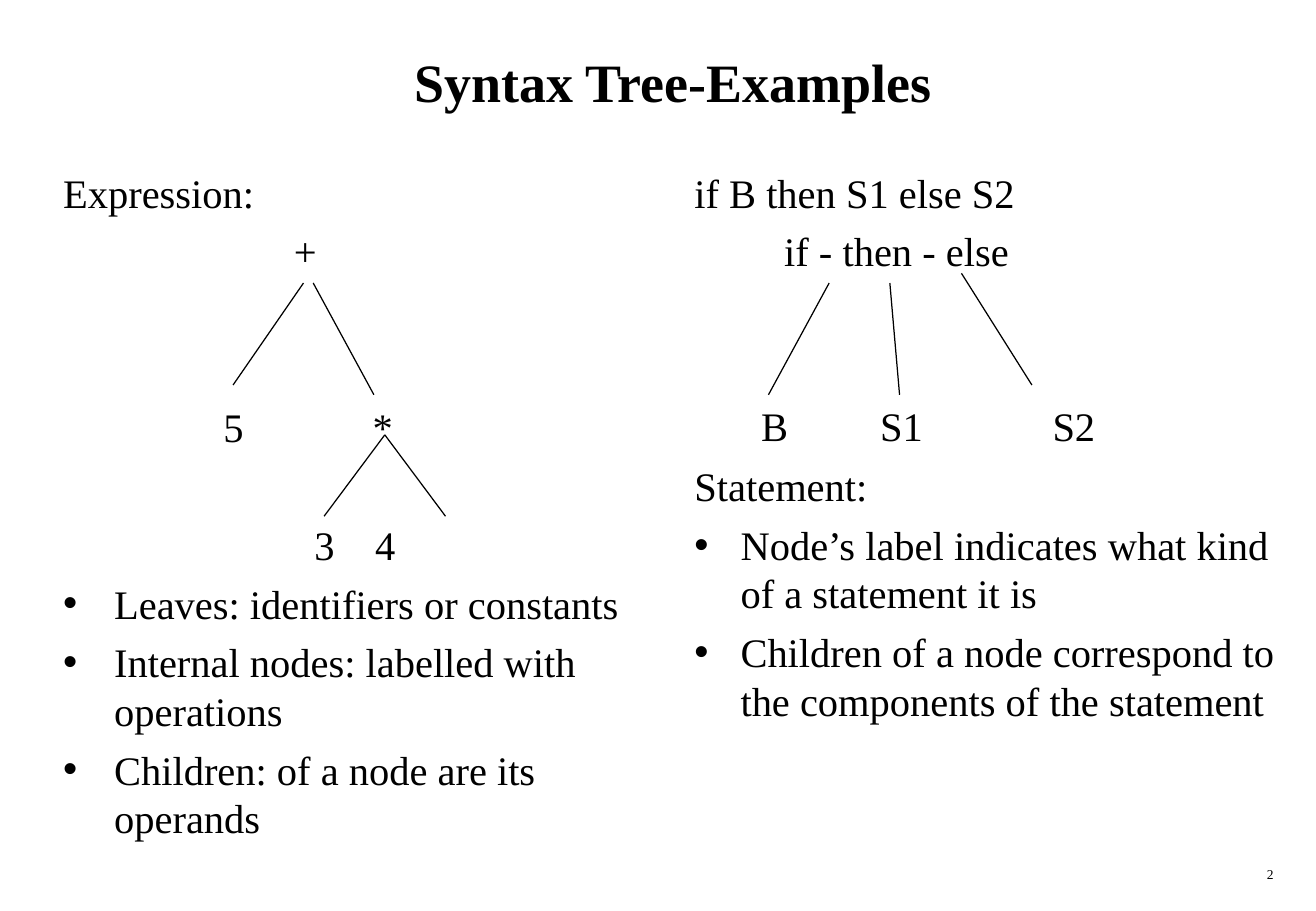
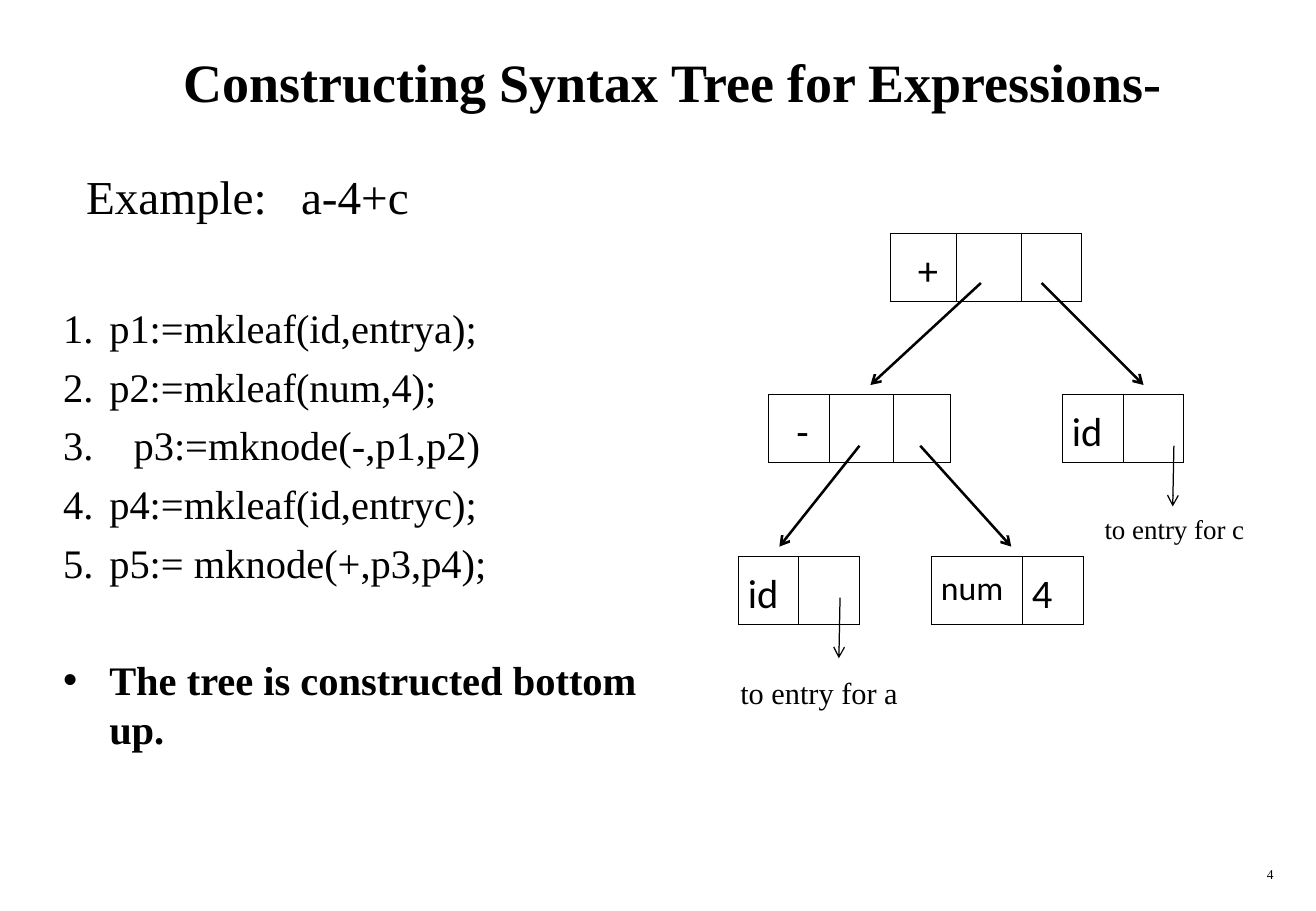
from pptx import Presentation
from pptx.dml.color import RGBColor
from pptx.enum.shapes import MSO_CONNECTOR, MSO_SHAPE
from pptx.enum.text import MSO_ANCHOR, MSO_AUTO_SIZE, PP_ALIGN
from pptx.oxml.ns import qn
from pptx.util import Inches, Pt
from lxml import etree

BLACK = RGBColor(0x00, 0x00, 0x00)
WHITE = RGBColor(0xFF, 0xFF, 0xFF)
SERIF, SANS = "Times New Roman", "Calibri"
STRAIGHT, RECT = MSO_CONNECTOR.STRAIGHT, MSO_SHAPE.RECTANGLE
TOP, MIDDLE = MSO_ANCHOR.TOP, MSO_ANCHOR.MIDDLE
LEFT, CENTER, RIGHT = PP_ALIGN.LEFT, PP_ALIGN.CENTER, PP_ALIGN.RIGHT
LEADING = 1.2     # line pitch of the serif text, relative to its size
ROW = 34.8        # points taken by one 24 pt line and the gap above it


def write(p, text, size, font=SERIF, bold=False, align=LEFT, before=0,
          bullet=None, indent=0, hang=None):
    """Fill a paragraph; the first line hangs by the whole indent unless told otherwise."""
    p.text = text
    p.alignment = align
    p.space_before = Pt(before)
    p.line_spacing = Pt(LEADING * size) if font == SERIF else 1.15
    for r in p.runs:
        r.font.name, r.font.size, r.font.bold = font, Pt(size), bold
        r.font.color.rgb = BLACK
    pPr = p._p.get_or_add_pPr()
    pPr.set("marL", str(Inches(indent)))
    pPr.set("indent", str(-Inches(indent if hang is None else hang)))
    if bullet == "•":
        etree.SubElement(pPr, qn("a:buFont"), typeface="Arial")
        etree.SubElement(pPr, qn("a:buChar"), char=bullet)
    elif bullet == "1.":
        etree.SubElement(pPr, qn("a:buFont"), typeface=SERIF)
        etree.SubElement(pPr, qn("a:buAutoNum"), type="arabicPeriod")
    else:
        etree.SubElement(pPr, qn("a:buNone"))


def add_line(s, x1, y1, x2, y2, width=0.75, arrow=False):
    c = s.shapes.add_connector(STRAIGHT, Inches(x1), Inches(y1), Inches(x2), Inches(y2))
    c.line.color.rgb = BLACK
    c.line.width = Pt(width)
    if arrow:
        etree.SubElement(c.line._get_or_add_ln(), qn("a:tailEnd"), type="arrow")
    etree.SubElement(c._element.spPr, qn("a:effectLst"))


prs = Presentation()
prs.slide_width, prs.slide_height = Inches(10.84), Inches(7.5)

# Shared layout: title across the top, two columns below
layout = prs.slide_layouts[3]
areas = {0: (0.42, 0.17, 10.25, 1), 1: (0.42, 1.33, 5.04, 5.58), 2: (5.62, 1.33, 5.04, 5.58)}
for ph in layout.placeholders:
    idx = ph.placeholder_format.idx
    if idx in areas:
        ph.left, ph.top, ph.width, ph.height = map(Inches, areas[idx])
        ph.text_frame.vertical_anchor = TOP if idx else MIDDLE

# Column text: (text, paragraph settings), with room left for the trees
item = dict(before=6, bullet="•", indent=0.42)
short_item = dict(item, indent=0.38)
step = dict(short_item, bullet="1.")
expression = [
    ("Expression:", {}),
    ("Leaves: identifiers or constants", dict(item, before=6 + 6 * ROW)),
    ("Internal nodes: labelled with operations", item),
    ("Children: of a node are its operands", item),
]
statement = [
    ("if B then S1 else S2", {}),
    ("Statement:", dict(before=6 + 4 * ROW)),
    ("Node’s label indicates what kind of a statement it is", short_item),
    ("Children of a node correspond to the components of the statement", short_item),
]
example = [
    ("Example:\ta-4+c", dict(size=28, indent=0.46, hang=0.27)),
    ("p1:=mkleaf(id,entrya);", dict(step, before=46.6)),
    ("p2:=mkleaf(num,4);", step),
    ("p3:=mknode(-,p1,p2)", dict(step, indent=0.58)),
    ("p4:=mkleaf(id,entryc);", step),
    ("p5:= mknode(+,p3,p4);", step),
    ("The tree is constructed bottom up.", dict(short_item, before=6 + ROW, bold=True)),
]

# Titles, columns and page numbers
slides = []
for title, number, columns in [
    ("Syntax Tree-Examples", "2", [expression, statement]),
    ("Constructing Syntax Tree for Expressions-", "4", [example]),
]:
    s = prs.slides.add_slide(layout)
    slides.append(s)
    write(s.shapes.title.text_frame.paragraphs[0], title, 32, bold=True, align=CENTER)
    for idx, column in enumerate(columns, 1):
        tf = s.placeholders[idx].text_frame
        tf.auto_size = MSO_AUTO_SIZE.NONE
        for i, (text, settings) in enumerate(column):
            p = tf.add_paragraph() if i else tf.paragraphs[0]
            write(p, text, **{"size": 24, **settings})
    for ph in list(s.placeholders):
        if not ph.text_frame.text:
            ph._element.getparent().remove(ph._element)
    box = s.shapes.add_textbox(Inches(8.33), Inches(7.08), Inches(2.26), Inches(0.25))
    box.text_frame.word_wrap = True
    write(box.text_frame.paragraphs[0], number, 8, align=RIGHT)
examples, construction = slides

# Branches of the example trees
for ends in [
    (2.5, 2.33, 1.92, 3.17), (2.58, 2.33, 3.08, 3.25),
    (3.17, 3.58, 2.67, 4.25), (3.17, 3.58, 3.67, 4.25),
    (6.83, 2.33, 6.33, 3.25), (7.33, 2.33, 7.41, 3.25), (7.92, 2.25, 8.5, 3.17),
]:
    add_line(examples, *ends)

# Node labels of the example trees: text, left, top, width
for text, x, y, width in [
    ("+", 2.42, 1.86, 0.4), ("5", 1.84, 3.31, 0.4), ("*", 3.07, 3.31, 0.4),
    ("3", 2.59, 4.28, 0.4), ("4", 3.09, 4.28, 0.4),
    ("if - then - else", 6.46, 1.86, 2.1),
    ("B", 6.27, 3.3, 0.5), ("S1", 7.25, 3.3, 0.5), ("S2", 8.67, 3.3, 0.5),
]:
    box = examples.shapes.add_textbox(Inches(x), Inches(y), Inches(width), Inches(0.4))
    tf = box.text_frame
    tf.margin_left = tf.margin_right = tf.margin_top = tf.margin_bottom = 0
    tf.word_wrap = True
    write(tf.paragraphs[0], text, 24)

# Tree nodes as one-row tables: left, top, row height, cells (text, width, size, left margin)
blank = ("", 0.5, 24, 0.08)
id_cell = ("id", 0.5, 24, 0.08)
for x, y, height, cells in [
    (7.33, 1.92, 0.5, [("+", 0.55, 24, 0.23), ("", 0.53, 24, 0.08), blank]),
    (6.33, 3.25, 0.5, [("-", 0.5, 24, 0.23), ("", 0.53, 24, 0.08), ("", 0.47, 24, 0.08)]),
    (8.75, 3.25, 0.5, [id_cell, blank]),
    (6.08, 4.58, 0.47, [id_cell, blank]),
    (7.67, 4.58, 0.47, [("num", 0.75, 20, 0.08), ("4", 0.5, 24, 0.08)]),
]:
    total = sum(cell[1] for cell in cells)
    table = construction.shapes.add_table(
        1, len(cells), Inches(x), Inches(y), Inches(total), Inches(height)).table
    table.first_row = table.horz_banding = False
    for i, (text, width, size, margin) in enumerate(cells):
        table.columns[i].width = Inches(width)
        cell = table.cell(0, i)
        cell.margin_left, cell.margin_right = Inches(margin), Inches(0.08)
        write(cell.text_frame.paragraphs[0], text, size, font=SANS)
        tcPr = cell._tc.get_or_add_tcPr()
        for side in ("a:lnL", "a:lnR", "a:lnT", "a:lnB"):
            ln = etree.SubElement(tcPr, qn(side), w=str(Pt(0.45)))
            fill = etree.SubElement(ln, qn("a:solidFill"))
            etree.SubElement(fill, qn("a:srgbClr"), val=str(BLACK))
        cell.fill.background()

# Pointers between nodes, then to the symbol table entries
for *ends, width in [
    (8.08, 2.33, 7.17, 3.17, 1.5), (8.58, 2.33, 9.42, 3.17, 1.5),
    (7.08, 3.67, 6.42, 4.5, 1.5), (7.58, 3.67, 8.33, 4.5, 1.5),
    (9.67, 3.67, 9.66, 4.17, 0.75), (6.92, 4.92, 6.91, 5.42, 0.75),
]:
    add_line(construction, *ends, width=width, arrow=True)

# Symbol table entries on white boxes
for area, text, size in [
    ((9, 4.17, 1.42, 0.42), "to entry for c", 16),
    ((6, 5.5, 1.67, 0.42), "to entry for a", 18),
]:
    sp = construction.shapes.add_shape(RECT, *map(Inches, area))
    sp.shadow.inherit = False
    sp.fill.solid()
    sp.fill.fore_color.rgb = WHITE
    sp.line.fill.background()
    sp.text_frame.word_wrap = True
    sp.text_frame.vertical_anchor = TOP
    write(sp.text_frame.paragraphs[0], text, size)

prs.save("out.pptx")
